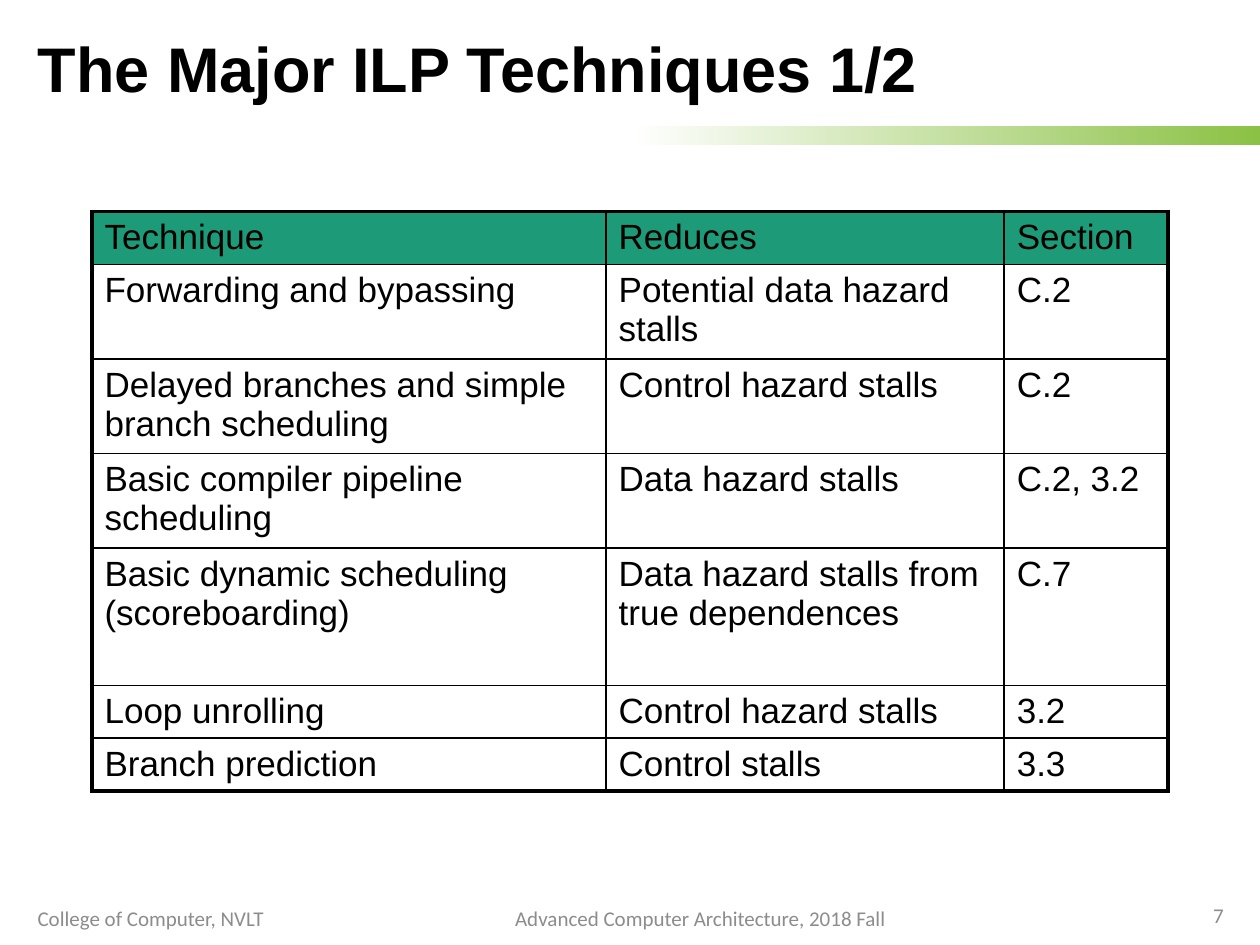
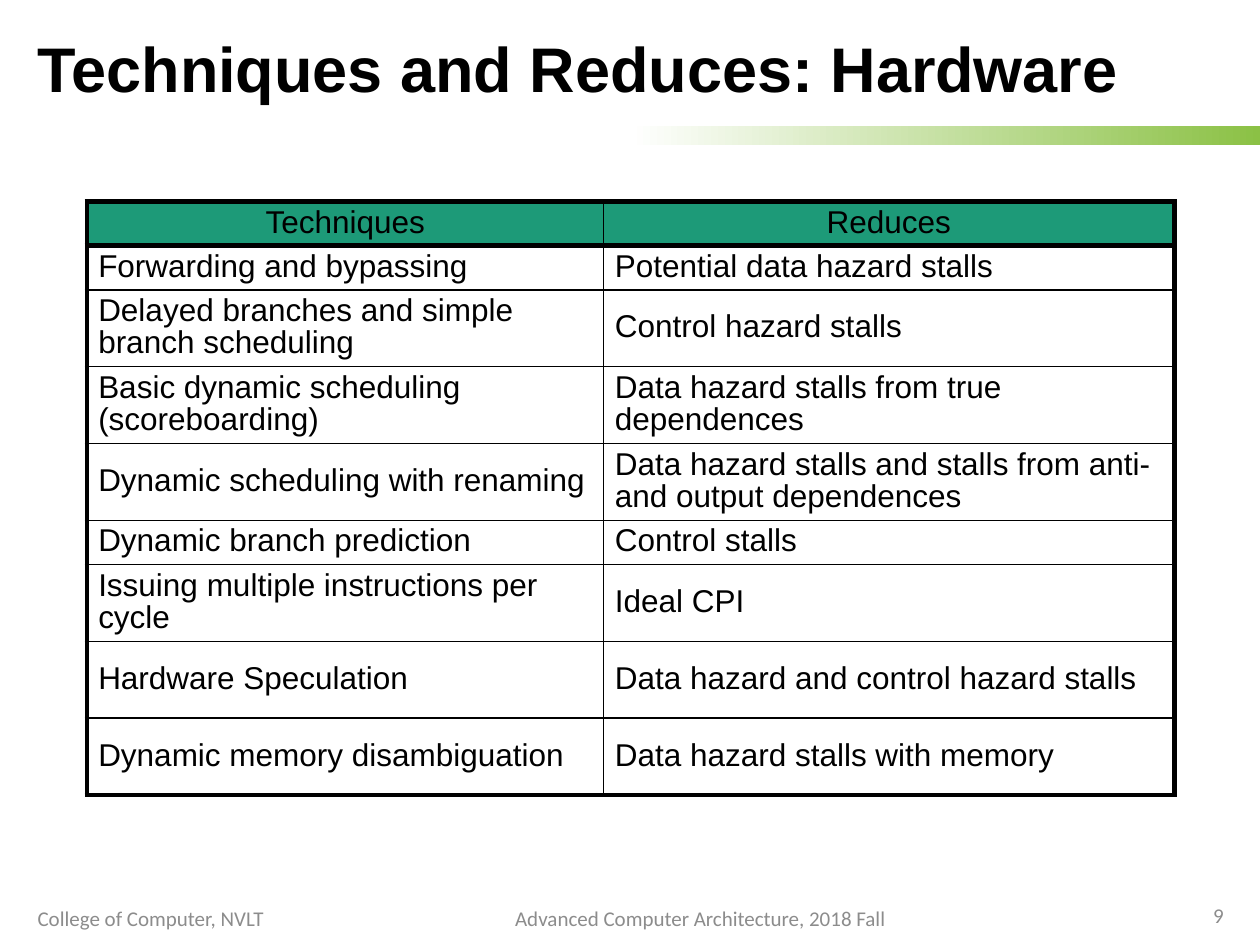
from pptx import Presentation
from pptx.dml.color import RGBColor
from pptx.enum.shapes import MSO_SHAPE as Shape
from pptx.enum.text import MSO_ANCHOR as Anchor, MSO_AUTO_SIZE as Fit, PP_ALIGN as Align
from pptx.oxml import parse_xml
from pptx.oxml.ns import nsdecls
from pptx.util import Inches, Pt

BLACK, WHITE, GREY = "000000", "FFFFFF", "8C8C8C"
GREEN, TEAL = "8BC145", "1D9A78"


def style(para, size, font, tone, align=Align.LEFT, bold=False):
    para.alignment = align
    for run in para.runs:
        run.font.size = Pt(size)
        run.font.name = font
        run.font.bold = bold
        run.font.color.rgb = RGBColor.from_string(tone)


def border(cell, widths):
    """Draw the left, right, top and bottom lines, widths in points."""
    props = cell._tc.get_or_add_tcPr()
    for i, (side, width) in enumerate(zip("LRTB", widths)):
        line = parse_xml(
            f'<a:ln{side} {nsdecls("a")} w="{Pt(width)}"><a:solidFill>'
            f'<a:srgbClr val="{BLACK}"/></a:solidFill></a:ln{side}>')
        props.insert(i, line)


pages = [
    dict(
        title="The Major ILP Techniques 1/2", number="7",
        left=0.73, top=1.68, cols=[4.08, 3.16, 1.3],
        heights=[0.42, 0.75, 0.75, 0.75, 1.09, 0.42, 0.42],
        size=20, inset=0.1, over=0.05, under=0.03, edge=2.25, rule=1, spacing=1.0,
        anchor=Anchor.TOP, head=Align.LEFT,
        rows=[
            ("Technique", "Reduces", "Section"),
            ("Forwarding and bypassing", "Potential data hazard stalls", "C.2"),
            ("Delayed branches and simple branch scheduling",
             "Control hazard stalls", "C.2"),
            ("Basic compiler pipeline scheduling", "Data hazard stalls", "C.2, 3.2"),
            ("Basic dynamic scheduling (scoreboarding)",
             "Data hazard stalls from true dependences", "C.7"),
            ("Loop unrolling", "Control hazard stalls", "3.2"),
            ("Branch prediction", "Control stalls", "3.3"),
        ]),
    dict(
        title="Techniques and Reduces: Hardware", number="9",
        left=0.69, top=1.6, cols=[4.1, 4.53],
        heights=[0.35, 0.35, 0.61, 0.61, 0.61, 0.35, 0.61, 0.61, 0.61],
        size=18, inset=0.09, over=0.03, under=0.03, edge=3, rule=3, spacing=0.9,
        anchor=Anchor.MIDDLE, head=Align.CENTER,
        rows=[
            ("Techniques", "Reduces"),
            ("Forwarding and bypassing", "Potential data hazard stalls"),
            ("Delayed branches and simple branch scheduling", "Control hazard stalls"),
            ("Basic dynamic scheduling (scoreboarding)",
             "Data hazard stalls from true dependences"),
            ("Dynamic scheduling with renaming",
             "Data hazard stalls and stalls from anti- and output dependences"),
            ("Dynamic branch prediction", "Control stalls"),
            ("Issuing multiple instructions per cycle", "Ideal CPI"),
            ("Hardware Speculation", "Data hazard and control hazard stalls"),
            ("Dynamic memory disambiguation", "Data hazard stalls with memory"),
        ]),
]

deck = Presentation()
deck.slide_width, deck.slide_height = Inches(10), Inches(7.5)

for page in pages:
    slide = deck.slides.add_slide(deck.slide_layouts[5])

    # Fading band under the title
    band = slide.shapes.add_shape(
        Shape.RECTANGLE, Inches(5), Inches(1), Inches(5), Inches(0.15))
    band.shadow.inherit = False
    band.line.fill.background()
    band.fill.gradient()
    band.fill.gradient_angle = 0
    for stop, tone in zip(band.fill.gradient_stops, (WHITE, GREEN)):
        stop.color.rgb = RGBColor.from_string(tone)

    # Title
    title = slide.shapes.title
    title.left, title.top = Inches(0.2), Inches(0.15)
    title.width, title.height = Inches(9.61), Inches(0.85)
    frame = title.text_frame
    frame.text = page["title"]
    frame.auto_size = Fit.NONE
    frame.vertical_anchor = Anchor.MIDDLE
    frame.paragraphs[0].line_spacing = 0.9
    style(frame.paragraphs[0], 36, "Arial", BLACK, bold=True)

    # Footer: school, course, page number
    for text, left, top, width, align in (
            ("College of Computer, NVLT", 0.2, 7.09, 2.25, Align.LEFT),
            ("Advanced Computer Architecture, 2018 Fall", 3.28, 7.09, 4.56, Align.CENTER),
            (page["number"], 8.79, 7.06, 1.02, Align.RIGHT)):
        box = slide.shapes.add_textbox(
            Inches(left), Inches(top), Inches(width), Inches(0.4))
        frame = box.text_frame
        frame.word_wrap = True
        frame.vertical_anchor = Anchor.MIDDLE
        frame.text = text
        style(frame.paragraphs[0], 12, "Calibri", GREY, align)

    # Table
    rows, cols, heights = page["rows"], page["cols"], page["heights"]
    table = slide.shapes.add_table(
        len(rows), len(cols), Inches(page["left"]), Inches(page["top"]),
        Inches(sum(cols)), Inches(sum(heights))).table
    table.first_row = table.horz_banding = False
    for col, width in zip(table.columns, cols):
        col.width = Inches(width)
    for row, height in zip(table.rows, heights):
        row.height = Inches(height)

    # Cells: thick outer frame, thin grid, filled header
    edge, rule = page["edge"], page["rule"]
    for r, row in enumerate(rows):
        for c, text in enumerate(row):
            cell = table.cell(r, c)
            cell.text = text
            cell.vertical_anchor = page["anchor"]
            cell.margin_left = cell.margin_right = Inches(page["inset"])
            cell.margin_top = Inches(page["over"])
            cell.margin_bottom = Inches(page["under"])
            para = cell.text_frame.paragraphs[0]
            para.line_spacing = page["spacing"]
            style(para, page["size"], "Arial", BLACK,
                  page["head"] if r == 0 else Align.LEFT)
            if r == 0:
                cell.fill.solid()
                cell.fill.fore_color.rgb = RGBColor.from_string(TEAL)
            else:
                cell.fill.background()
            border(cell, (
                edge if c == 0 else 1,
                edge if c == len(cols) - 1 else 1,
                {0: edge, 1: rule}.get(r, 1),
                {0: rule, len(rows) - 1: edge}.get(r, 1)))

deck.save("out.pptx")
